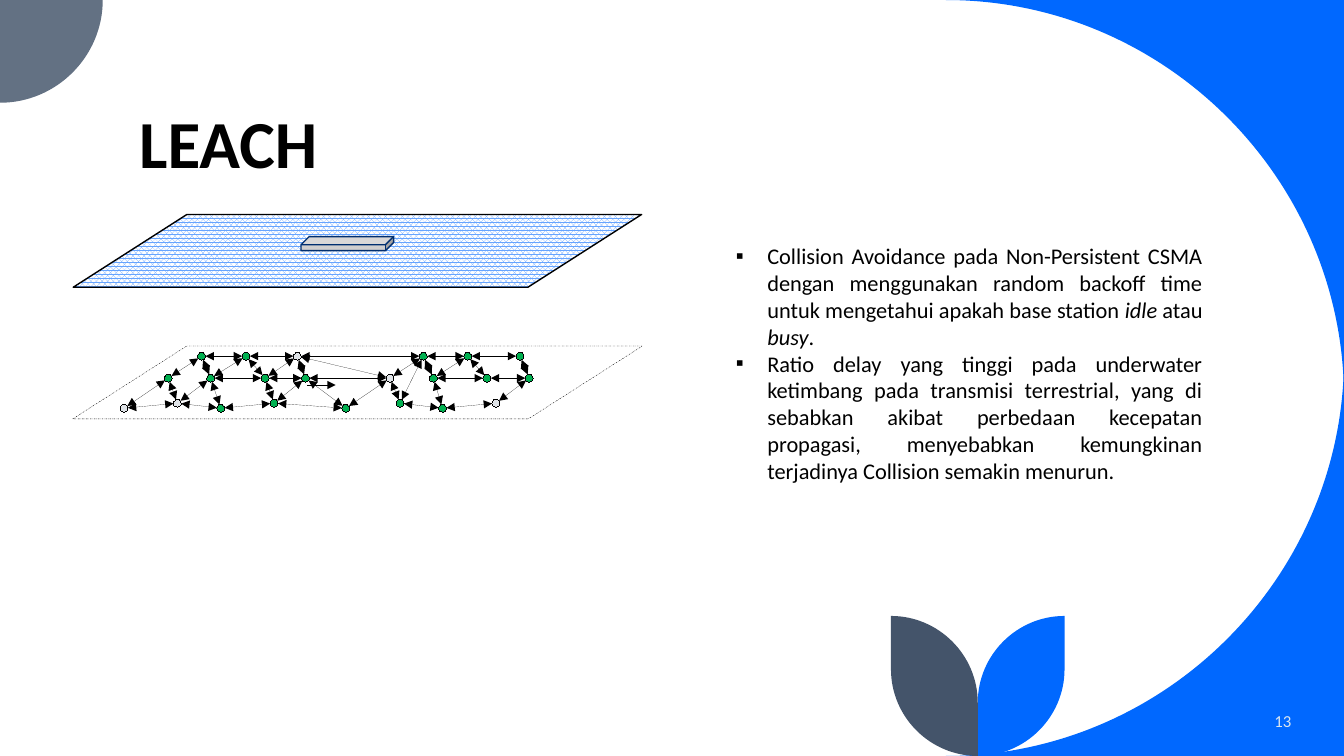
from dataclasses import dataclass
from math import hypot

from lxml.etree import SubElement
from pptx import Presentation
from pptx.dml.color import RGBColor
from pptx.enum.dml import MSO_LINE, MSO_PATTERN
from pptx.enum.shapes import MSO_CONNECTOR, MSO_SHAPE
from pptx.enum.text import MSO_ANCHOR, MSO_AUTO_SIZE, PP_ALIGN
from pptx.oxml.ns import qn
from pptx.util import Pt


@dataclass(frozen=True)
class Theme:
    font: str = "Calibri"
    text: str = "000000"
    blue: str = "0068FF"
    slate: str = "637183"
    navy: str = "44546A"
    number: str = "DAE5EF"
    water: str = "66A4FF"
    paper: str = "FFFFFF"
    member: str = "00B050"
    head: str = "DFE3E7"
    station: str = "D0CECE"
    station_edge: str = "002E70"
    title_size: int = 48
    body_size: int = 16
    number_size: int = 12


THEME = Theme()
HAIRLINE = 0.01
RADIUS = 2.8
ROWS = {
    "T": (254.4, [144, 175.7, 212.4, 302.4, 334.1, 371.5]),
    "M": (270.1, [120.2, 150.5, 189.4, 218.2, 278.6, 309.6, 347.8, 378]),
    "L": (288, [126.7, 195.8, 285.8, 354.2]),
    "B": (291.6, [88.6, 157.7, 247, 316.1]),
}
NODES = {f"{row}{i}": (x, y) for row, (y, xs) in ROWS.items() for i, x in enumerate(xs, 1)}
CLUSTER_HEADS = {"B1", "L1", "T3", "M5", "L4"}
LINKS = """
B1-M1 M1-T1 M1-L1 M2-B2 T1-M2 T1-T2 M2-M3 B2-L2 M3-L2 T2-M3
T2-T3 L2-B3 M4-B3 M4-L2 M4-T3 T4-T3 T4-M5 T4-L3 M6-B4 L3-B4
B4-L4 L4-M8 M8-T6 M8-M7 M7-T5 T5-T6 T4-T5 T4-M6 M6-M7 M6-T5
M5-M4 M5-B3 M5-L3 T3-M5 M3-M4 M3-T3 L1-B2 B1-L1 L1-M2 M2-T2
""".split()
BULLETS = [
    [
        ("Collision Avoidance pada Non-Persistent CSMA dengan menggunakan random "
         "backoff time untuk mengetahui apakah base station ", False),
        ("idle ", True), ("atau ", False), ("busy", True), (".", False),
    ],
    [
        ("Ratio delay yang tinggi pada underwater ketimbang pada transmisi terrestrial, "
         "yang di sebabkan akibat perbedaan kecepatan propagasi, menyebabkan "
         "kemungkinan terjadinya Collision semakin menurun.", False),
    ],
]


def rgb(color):
    return RGBColor.from_string(color)


def place(sp, x, y, w, h):
    sp.left, sp.top, sp.width, sp.height = Pt(x), Pt(y), Pt(w), Pt(h)


def set_font(font, size, color, bold=False):
    font.name, font.size, font.bold = THEME.font, Pt(size), bold
    font.color.rgb = rgb(color)


def quarter(start, corner, end):
    controls = [tuple(a + 0.55 * (b - a) for a, b in zip(point, corner)) for point in (start, end)]
    return [*controls, end]


def add_outline(s, start, steps, color):
    builder = s.shapes.build_freeform(*map(Pt, start))
    builder.add_line_segments([tuple(map(Pt, point)) for step in steps for point in step])
    sp = builder.convert_to_shape()
    sp.shadow.inherit = False
    sp.fill.solid()
    sp.fill.fore_color.rgb = rgb(color)
    sp.line.fill.background()
    segments = iter(list(sp._element.iter(qn("a:lnTo"))))
    for step in steps:
        first, *others = [next(segments) for _ in step]
        if others:
            curve = first.makeelement(qn("a:cubicBezTo"))
            first.addprevious(curve)
            for segment in (first, *others):
                curve.append(segment[0])
                segment.getparent().remove(segment)


def add_shape(s, kind, box, line, width, fill=None):
    sp = s.shapes.add_shape(kind, *map(Pt, box))
    sp.shadow.inherit = False
    if fill:
        sp.fill.solid()
        sp.fill.fore_color.rgb = rgb(fill)
    else:
        sp.fill.background()
    sp.line.color.rgb = rgb(line)
    sp.line.width = Pt(width)
    return sp


def add_arrow(s, start, end, ends):
    cn = s.shapes.add_connector(MSO_CONNECTOR.STRAIGHT, *map(Pt, (*start, *end)))
    cn.line.color.rgb = rgb(THEME.text)
    cn.line.width = Pt(HAIRLINE)
    ln = cn.line._get_or_add_ln()
    for tag in ends:
        SubElement(ln, qn(f"a:{tag}")).set("type", "triangle")
    SubElement(cn._element.spPr, qn("a:effectLst"))


def add_link(s, link):
    (x1, y1), (x2, y2) = [NODES[name] for name in link.split("-")]
    length = hypot(x2 - x1, y2 - y1)
    dx, dy = (x2 - x1) * RADIUS / length, (y2 - y1) * RADIUS / length
    add_arrow(s, (x1 + dx, y1 + dy), (x2 - dx, y2 - dy), ("headEnd", "tailEnd"))


def add_decoration(s):
    for edge, inner in ((0, 284.4), (540, 255.6)):
        corner, top = (960, edge), (675.6, edge)
        add_outline(s, corner, [[top], quarter(top, corner, (960, inner)), [corner]], THEME.blue)
    disc = quarter((73.4, 0), (73.4, 73.4), (0, 73.4))
    add_outline(s, (0, 0), [[(73.4, 0)], disc, [(0, 0)]], THEME.slate)
    stem = 698.4
    for tip, color in ((stem + 62, THEME.blue), (stem - 62, THEME.navy)):
        lower = quarter((tip, 478), (tip, 540), (stem, 540))
        upper = quarter((stem, 502), (stem, 440), (tip, 440))
        add_outline(s, (tip, 440), [[(tip, 478)], lower, [(stem, 502)], upper], color)


def add_water_surface(s):
    sp = add_shape(s, MSO_SHAPE.FLOWCHART_DATA, (52.3, 153.2, 406, 52), THEME.text, 1)
    sp.fill.patterned()
    sp.fill.pattern = MSO_PATTERN.PERCENT_75
    sp.fill.fore_color.rgb = rgb(THEME.water)
    sp.fill.back_color.rgb = rgb(THEME.paper)
    station = add_shape(s, MSO_SHAPE.CUBE, (215, 169, 66.2, 10.1),
                        THEME.station_edge, 1, THEME.station)
    station.adjustments[0] = 0.58


def add_sensor_field(s):
    sp = add_shape(s, MSO_SHAPE.FLOWCHART_DATA, (52, 247.2, 406.8, 52), THEME.text, 0.25)
    sp.line.dash_style = MSO_LINE.DASH_DOT
    for name, (x, y) in NODES.items():
        color = THEME.head if name in CLUSTER_HEADS else THEME.member
        box = (x - RADIUS, y - RADIUS, 2 * RADIUS, 2 * RADIUS)
        add_shape(s, MSO_SHAPE.OVAL, box, THEME.text, HAIRLINE, color)
    for link in LINKS:
        add_link(s, link)
    add_arrow(s, (219.6, 275), (239.8, 275), ("tailEnd",))


def fill_title(sp, text):
    place(sp, 92.2, 30.2, 769.7, 104.4)
    tf = sp.text_frame
    tf.text = text
    tf.auto_size = MSO_AUTO_SIZE.NONE
    tf.vertical_anchor = MSO_ANCHOR.BOTTOM
    p = tf.paragraphs[0]
    p.alignment, p.line_spacing = PP_ALIGN.LEFT, 0.9
    set_font(p.runs[0].font, THEME.title_size, THEME.text, bold=True)


def fill_body(sp, bullets):
    place(sp, 518.4, 169.4, 347.8, 239.8)
    tf = sp.text_frame
    tf.auto_size = MSO_AUTO_SIZE.NONE
    tf.vertical_anchor = MSO_ANCHOR.TOP
    for i, parts in enumerate(bullets):
        p = tf.add_paragraph() if i else tf.paragraphs[0]
        p.alignment, p.space_before = PP_ALIGN.JUSTIFY, Pt(0)
        pPr = p._p.get_or_add_pPr()
        pPr.set("marL", str(Pt(22.5)))
        pPr.set("indent", str(Pt(-22.5)))
        SubElement(pPr, qn("a:buChar")).set("char", "▪")
        for text, italic in parts:
            r = p.add_run()
            r.text = text
            set_font(r.font, THEME.body_size, THEME.text)
            r.font.italic = italic


def add_slide_number(s, text):
    tf = s.shapes.add_textbox(*map(Pt, (799.2, 500.4, 130.3, 28.8))).text_frame
    tf.word_wrap = True
    tf.vertical_anchor = MSO_ANCHOR.MIDDLE
    tf.text = text
    p = tf.paragraphs[0]
    p.alignment = PP_ALIGN.RIGHT
    set_font(p.runs[0].font, THEME.number_size, THEME.number)


def main():
    prs = Presentation()
    prs.slide_width, prs.slide_height = Pt(960), Pt(540)
    s = prs.slides.add_slide(prs.slide_layouts[1])
    fill_title(s.shapes.title, "LEACH")
    fill_body(s.placeholders[1], BULLETS)
    add_decoration(s)
    add_water_surface(s)
    add_sensor_field(s)
    add_slide_number(s, "13")
    prs.save("out.pptx")


if __name__ == "__main__":
    main()
